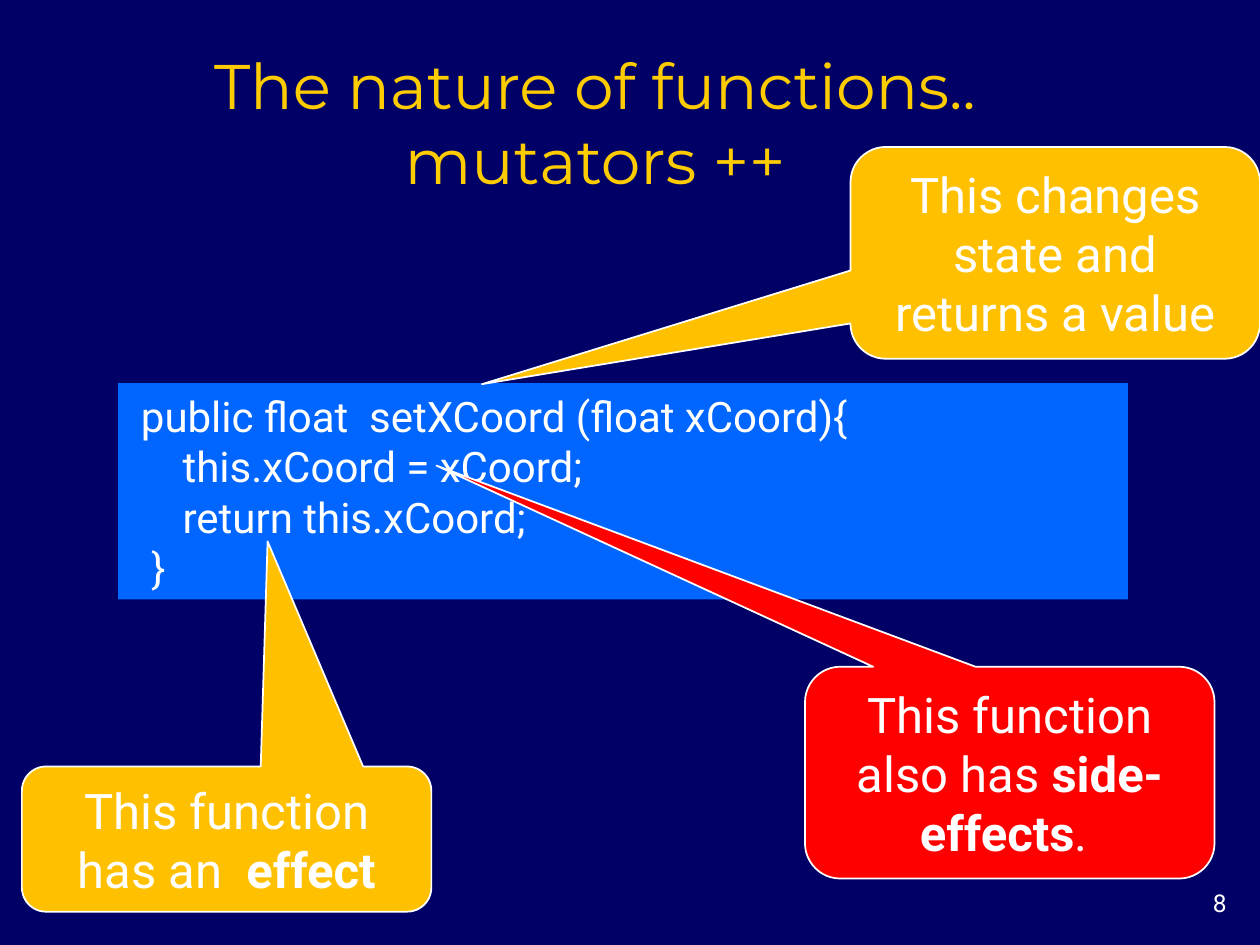
from pptx import Presentation
from pptx.dml.color import RGBColor
from pptx.enum.shapes import MSO_SHAPE as Shape
from pptx.enum.text import MSO_ANCHOR as Anchor, MSO_AUTO_SIZE as AutoSize, PP_ALIGN as Align
from pptx.util import Pt

WHITE, GOLD, AMBER = "FFFFFF", "FFCC00", "FFC000"
RED, BLUE, NAVY = "FF0000", "0066FF", "000066"
CODE = [
    " public float  setXCoord (float xCoord){",
    "     this.xCoord = xCoord;",
    "     return this.xCoord;",
    "  }",
]


def rgb(value):
    """Turn a hex string into a colour."""
    return RGBColor.from_string(value)


def paint(fill, color):
    """Make a fill solid in one colour."""
    fill.solid()
    fill.fore_color.rgb = rgb(color)


def write(sp, lines, *, size, color=WHITE, font="Roboto", align=Align.LEFT, anchor=Anchor.MIDDLE):
    """Write lines into a shape; a line is a string or a list of (text, bold) runs."""
    tf = sp.text_frame
    tf.word_wrap = True
    tf.auto_size = AutoSize.NONE
    tf.vertical_anchor = anchor
    for i, line in enumerate(lines):
        p = tf.add_paragraph() if i else tf.paragraphs[0]
        p.alignment = align
        for text, bold in [(line, False)] if isinstance(line, str) else line:
            r = p.add_run()
            r.text = text
            r.font.name, r.font.size, r.font.bold = font, Pt(size), bold
            r.font.color.rgb = rgb(color)


def add_title(s, text, box):
    """Place and format the title placeholder."""
    sp = s.shapes.title
    sp.left, sp.top, sp.width, sp.height = map(Pt, box)
    write(sp, [text], size=36, color=GOLD, font="Montserrat", align=Align.CENTER, anchor=Anchor.BOTTOM)


def add_block(s, kind, box, fill):
    """Add a filled shape without outline or shadow."""
    sp = s.shapes.add_shape(kind, *map(Pt, box))
    sp.shadow.inherit = False
    paint(sp.fill, fill)
    sp.line.fill.background()
    return sp


def add_callout(s, box, tip, fill, runs):
    """Add a rounded callout whose tip is given relative to its centre."""
    sp = add_block(s, Shape.ROUNDED_RECTANGULAR_CALLOUT, box, fill)
    sp.adjustments[0], sp.adjustments[1] = tip
    paint(sp.line.fill, WHITE)
    sp.line.width = Pt(1)
    write(sp, [runs], size=28, align=Align.CENTER)


def add_number(s, text, box):
    """Add the slide number."""
    sp = s.shapes.add_textbox(*map(Pt, box))
    write(sp, [text], size=14, align=Align.RIGHT, anchor=Anchor.TOP)


def main():
    """Build the slide and save it."""
    prs = Presentation()
    prs.slide_width, prs.slide_height = Pt(720), Pt(540)
    s = prs.slides.add_slide(prs.slide_layouts[5])
    paint(s.background.fill, NAVY)

    add_title(s, "The nature of functions.. mutators ++", (30, 30, 620, 86.4))
    add_number(s, "8", (660, 504, 48, 24))
    write(add_block(s, Shape.RECTANGLE, (67.5, 219, 577, 123.6), BLUE), CODE, size=24)

    add_callout(s, (486, 84, 234, 121), (-1.4, 0.62), AMBER,
                [("This changes state and returns a value", False)])
    add_callout(s, (12.5, 438, 234, 83), (0.1, -2.05), AMBER,
                [("This function has an  ", False), ("effect", True)])
    add_callout(s, (460, 381, 234, 121), (-1.4, -1.45), RED,
                [("This function also has ", False), ("side-effects", True), (". ", False)])

    prs.save("out.pptx")


if __name__ == "__main__":
    main()
